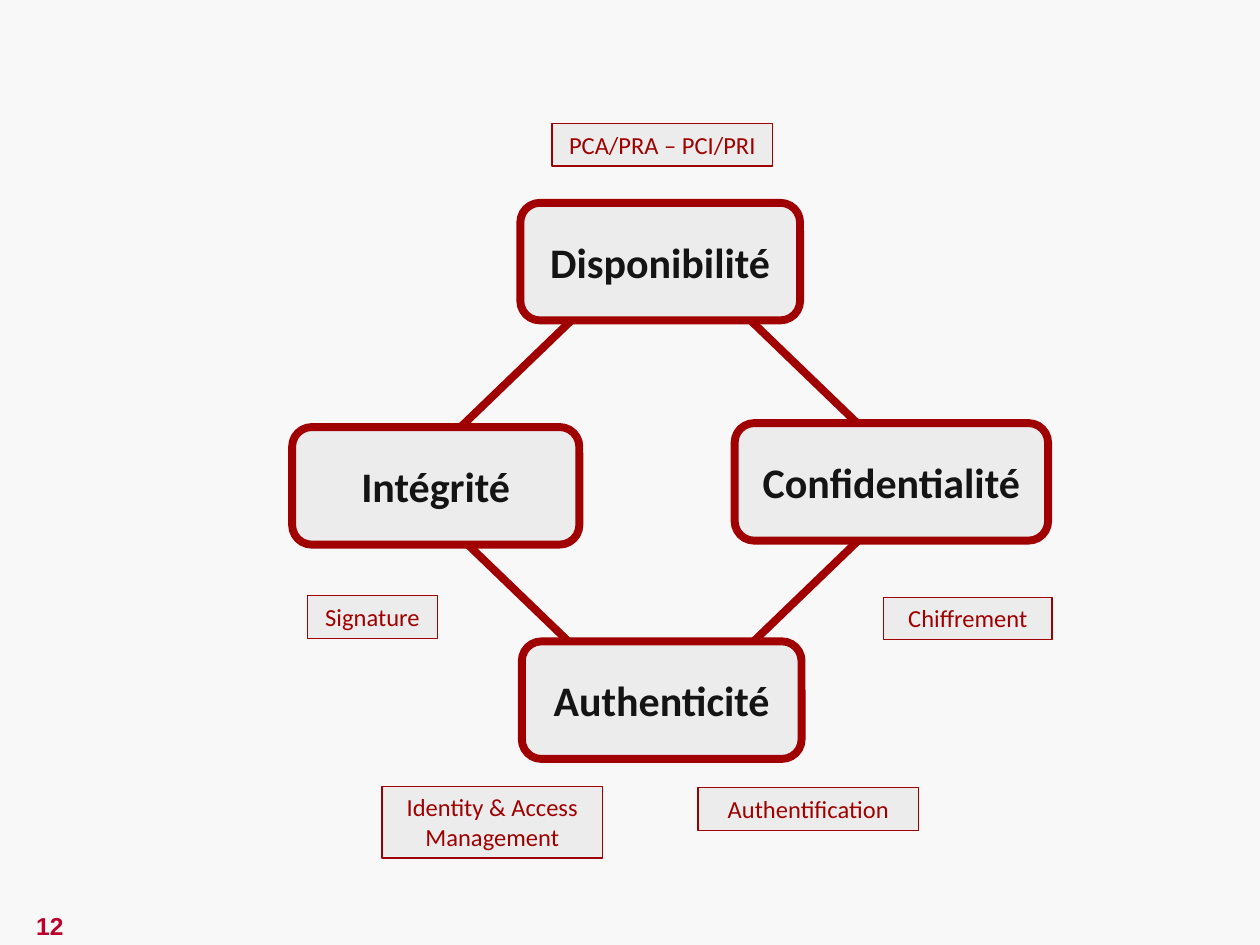
"""Build the slide of the four security pillars and their measures."""
from pptx import Presentation
from pptx.dml.color import RGBColor
from pptx.enum.shapes import MSO_SHAPE
from pptx.enum.text import MSO_ANCHOR, PP_ALIGN
from pptx.util import Cm, Pt


def rgb(value):
    return RGBColor.from_string(value)


def add_text(text, box, shape=None, fill="ECECEC", line=4.5, size=24,
             color="141414", bold=False, font="Calibri", anchor=MSO_ANCHOR.MIDDLE):
    box = [Cm(v) for v in box]
    if shape is None:
        sp = s.shapes.add_textbox(*box)
    else:
        sp = s.shapes.add_shape(shape, *box)
        sp.shadow.inherit = False
        sp.fill.solid()
        sp.fill.fore_color.rgb = rgb(fill)
        sp.line.color.rgb = rgb("A00000")
        sp.line.width = Pt(line)
    if text:
        tf = sp.text_frame
        tf.word_wrap = True
        tf.vertical_anchor = anchor
        p = tf.paragraphs[0]
        p.alignment = PP_ALIGN.CENTER
        r = p.add_run()
        r.text = text
        r.font.name = font
        r.font.size = Pt(size)
        r.font.bold = bold
        r.font.color.rgb = rgb(color)


prs = Presentation()
prs.slide_width, prs.slide_height = Cm(25.4), Cm(19.05)
s = prs.slides.add_slide(prs.slide_layouts[6])
s.background.fill.solid()
s.background.fill.fore_color.rgb = rgb("F8F8F8")

add_text("12", (-0.05, 18.24, 2.11, 0.86), size=14, color="BC002B", bold=True, font="Arial")
add_text("", (8.13, 4.72, 10.39, 10.01), MSO_SHAPE.DIAMOND, fill="F8F8F8")

pillars = [
    ("Disponibilité", 10.49, 4.09, 5.64),
    ("Intégrité", 5.89, 8.61, 5.79),
    ("Confidentialité", 14.81, 8.53, 6.32),
    ("Authenticité", 10.52, 12.93, 5.64),
]
for text, x, y, w in pillars:
    add_text(text, (x, y, w, 2.37), MSO_SHAPE.ROUNDED_RECTANGLE, bold=True)

measures = [
    ("Signature", 6.2, 12.01, 2.62, 0.86),
    ("Chiffrement", 17.81, 12.04, 3.4, 0.86),
    ("Authentification", 14.07, 15.88, 4.45, 0.86),
    ("Identity & Access Management", 7.7, 15.85, 4.45, 1.45),
    ("PCA/PRA – PCI/PRI", 11.13, 2.49, 4.45, 0.86),
]
for text, *box in measures:
    add_text(text, box, MSO_SHAPE.RECTANGLE, line=0.75, size=14, color="A00000",
             anchor=MSO_ANCHOR.TOP)

prs.save("out.pptx")
